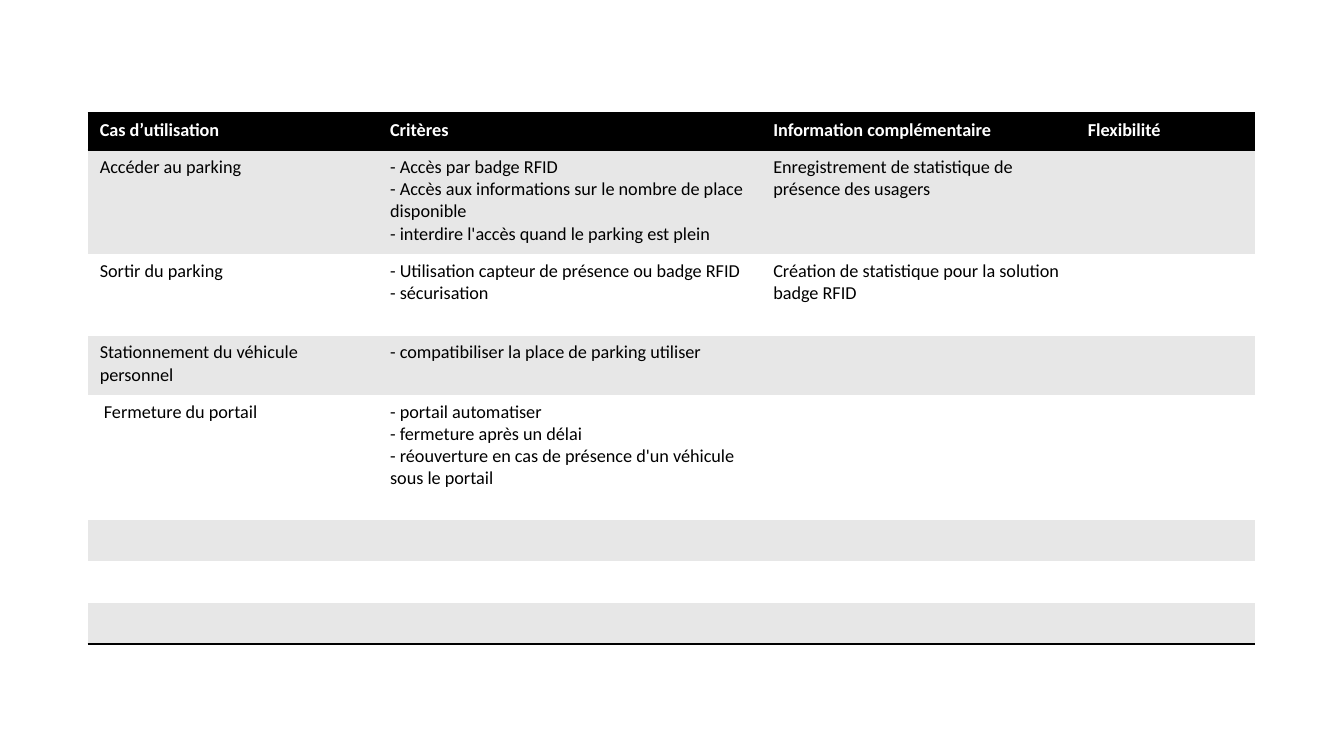
from pptx import Presentation
from pptx.dml.color import RGBColor
from pptx.oxml import parse_xml
from pptx.oxml.ns import nsdecls, qn
from pptx.util import Inches, Pt

COLUMN_WIDTHS = [2.88, 3.8, 3.12, 1.78]
ROW_HEIGHTS = [0.37, 1.03, 0.81, 0.59, 1.24, 0.41, 0.41, 0.41]
PLAIN_STYLE = "{2D5ABB26-0587-4C30-8999-92F81FD0307C}"
BLACK, WHITE, GREY = "000000", "FFFFFF", "E7E7E7"

USE_CASES = [
    ["Cas d’utilisation", "Critères", "Information complémentaire", "Flexibilité"],
    ["Accéder au parking",
     "- Accès par badge RFID\n"
     "- Accès aux informations sur le nombre de place disponible\n"
     "- interdire l'accès quand le parking est plein",
     "Enregistrement de statistique de présence des usagers", ""],
    ["Sortir du parking",
     "- Utilisation capteur de présence ou badge RFID\n- sécurisation",
     "Création de statistique pour la solution badge RFID", ""],
    ["Stationnement du véhicule personnel",
     "- compatibiliser la place de parking utiliser", "", ""],
    [" Fermeture du portail",
     "- portail automatiser\n"
     "- fermeture après un délai\n"
     "- réouverture en cas de présence d'un véhicule sous le portail", "", ""],
    [""] * 4,
    [""] * 4,
    [""] * 4,
]


def color(value):
    return RGBColor.from_string(value)


def add_borders(cell, sides):
    """Draw 2 pt black borders on the given sides, T before B."""
    properties = cell._tc.get_or_add_tcPr()
    for position, side in enumerate(sides):
        properties.insert(position, parse_xml(
            f'<a:ln{side} {nsdecls("a")} w="{Pt(2)}"><a:solidFill>'
            f'<a:srgbClr val="{BLACK}"/></a:solidFill></a:ln{side}>'))


def fill_cell(cell, text, background, text_color, bold):
    cell.margin_left = cell.margin_right = Inches(0.12)
    cell.margin_top = cell.margin_bottom = Inches(0.06)
    cell.fill.solid()
    cell.fill.fore_color.rgb = color(background)
    cell.text_frame.text = text
    for paragraph in cell.text_frame.paragraphs:
        paragraph.font.size = Pt(13)
        for run in paragraph.runs:
            run.font.size = Pt(13)
            run.font.name = "Calibri"
            run.font.bold = bold
            run.font.color.rgb = color(text_color)


def add_use_case_table(slide, left, top, width, height):
    table = slide.shapes.add_table(
        len(ROW_HEIGHTS), len(COLUMN_WIDTHS),
        Inches(left), Inches(top), Inches(width), Inches(height)).table
    table._tbl.tblPr.find(qn("a:tableStyleId")).text = PLAIN_STYLE
    for column, column_width in zip(table.columns, COLUMN_WIDTHS):
        column.width = Inches(column_width)
    last = len(USE_CASES) - 1
    for index, (row, texts) in enumerate(zip(table.rows, USE_CASES)):
        row.height = Inches(ROW_HEIGHTS[index])
        header = index == 0
        background = BLACK if header else GREY if index % 2 else WHITE
        for cell, text in zip(row.cells, texts):
            fill_cell(cell, text, background, WHITE if header else BLACK, header)
            if header:
                add_borders(cell, "TB")
            elif index == last:
                add_borders(cell, "B")


def main():
    presentation = Presentation()
    presentation.slide_width = Inches(13.33)
    presentation.slide_height = Inches(7.5)
    slide = presentation.slides.add_slide(presentation.slide_layouts[6])
    add_use_case_table(slide, 0.87, 1.12, sum(COLUMN_WIDTHS), sum(ROW_HEIGHTS))
    presentation.save("out.pptx")


if __name__ == "__main__":
    main()
